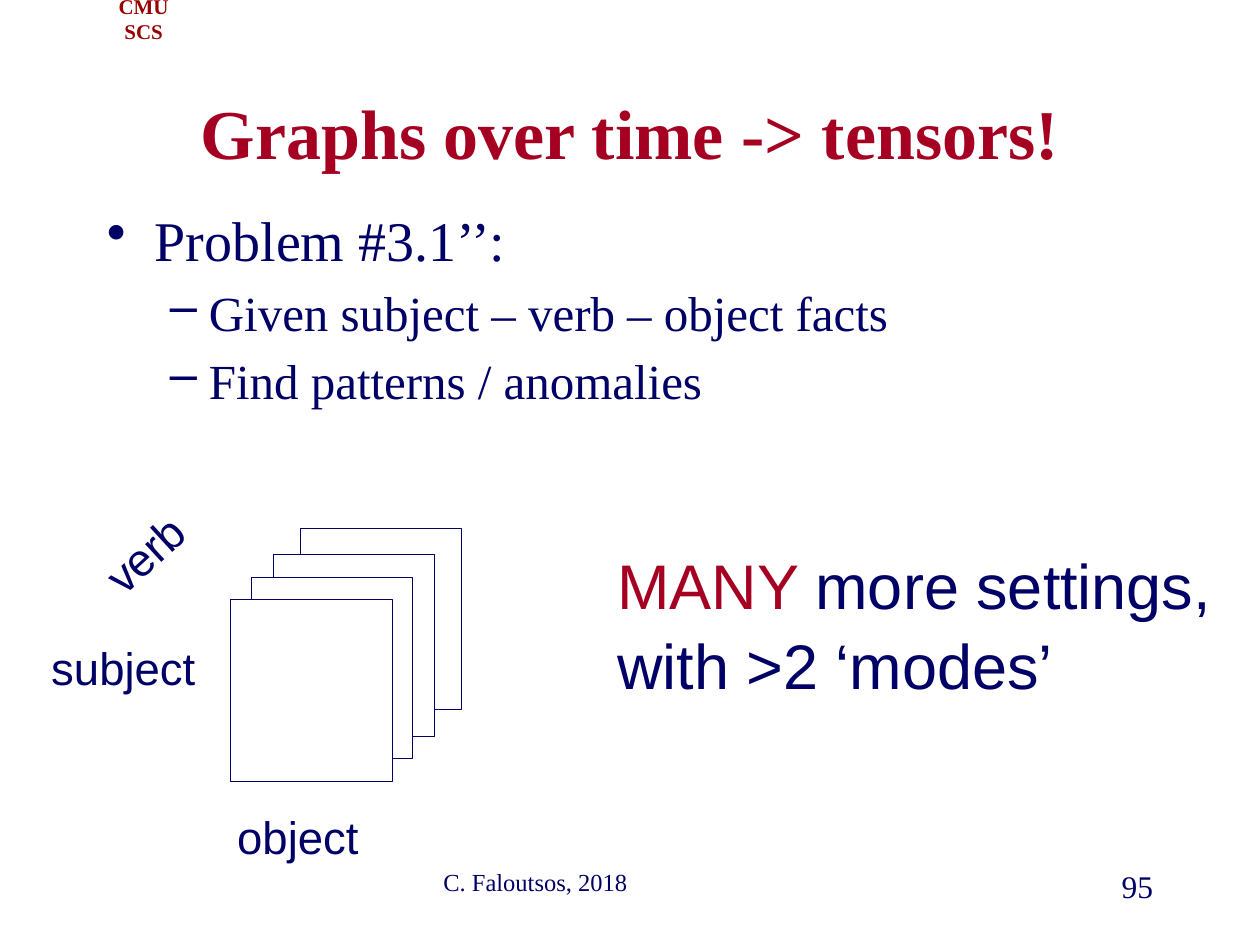
from lxml.etree import SubElement
from pptx import Presentation
from pptx.dml.color import RGBColor
from pptx.enum.shapes import MSO_SHAPE as Shape
from pptx.enum.text import MSO_ANCHOR as Anchor, MSO_AUTO_SIZE as AutoSize, PP_ALIGN as Align
from pptx.oxml.ns import qn
from pptx.util import Inches, Pt

COLORS = {"navy": "000066", "crimson": "A50021", "red": "990000", "white": "FFFFFF"}
SERIF, SANS = "Times New Roman", "Arial"


def color(name):
    return RGBColor.from_string(COLORS[name])


def style(font, name, size, tone="navy", bold=False):
    font.name, font.size, font.bold = name, Pt(size), bold
    font.color.rgb = color(tone)


def add_text(page, box, text, name, size, align=Align.LEFT, wrap=True, tone="navy", bold=False):
    label = page.shapes.add_textbox(*map(Inches, box))
    frame = label.text_frame
    frame.word_wrap = wrap
    frame.auto_size = AutoSize.NONE if wrap else AutoSize.SHAPE_TO_FIT_TEXT
    para = frame.paragraphs[0]
    para.text, para.alignment = text, align
    style(para.font, name, size, tone, bold)
    return label


def add_header(page, box):
    header = add_text(page, box, "CMU SCS", SERIF, 12, Align.CENTER, False, "red", True)
    header.text_frame.vertical_anchor = Anchor.MIDDLE


def add_title(page, box):
    title = page.shapes.title
    title.left, title.top, title.width, title.height = map(Inches, box)
    title.text_frame.text = "Graphs over time -> tensors!"
    title.text_frame.vertical_anchor = Anchor.MIDDLE
    para = title.text_frame.paragraphs[0]
    para.alignment = Align.CENTER
    style(para.font, SERIF, 40, "crimson", True)


def add_bullets(page, box):
    frame = page.shapes.add_textbox(*map(Inches, box)).text_frame
    frame.word_wrap = True
    levels = [("•", 0.38, 0.38, 32), ("–", 0.81, 0.31, 28)]
    items = [
        (0, "Problem #3.1’’:"),
        (1, "Given subject – verb – object facts"),
        (1, "Find patterns / anomalies"),
    ]
    for index, (level, text) in enumerate(items):
        mark, margin, hanging, size = levels[level]
        para = frame.add_paragraph() if index else frame.paragraphs[0]
        para.text, para.level = text, level
        if index:
            para.space_before = Pt(0.2 * size)
        props = para._p.get_or_add_pPr()
        props.set("marL", str(Inches(margin)))
        props.set("indent", str(-Inches(hanging)))
        SubElement(props, qn("a:buChar"), char=mark)
        style(para.font, SERIF, size)


def add_tensor(page, box):
    left, top, width, height = box
    for dx, dy in [(2.08, 0.08), (1.87, 0.29), (1.69, 0.47), (1.53, 0.65)]:
        place = map(Inches, (left + dx, top + dy, 1.28, 1.44))
        sheet = page.shapes.add_shape(Shape.RECTANGLE, *place)
        sheet.shadow.inherit = False
        sheet.fill.solid()
        sheet.fill.fore_color.rgb = color("white")
        sheet.line.color.rgb = color("navy")
        sheet.line.width = Pt(0.25)
    modes = [
        ("object", 1.48, 2.24, 1.17, 0),
        ("subject", 0, 0.9, 1.36, 0),
        ("verb", 0.37, 0, 0.93, 317.5),
    ]
    for text, dx, dy, label_width, angle in modes:
        place = (left + dx, top + dy, label_width, 0.54)
        label = add_text(page, place, text, SANS, 26, Align.CENTER, False)
        label.text_frame.paragraphs[0].line_spacing = 1.05
        label.rotation = angle


def add_remark(page, box):
    frame = add_text(page, box, "MANY ", SANS, 36, Align.JUSTIFY, False).text_frame
    first, second = frame.paragraphs[0], frame.add_paragraph()
    first.runs[0].font.color.rgb = color("crimson")
    first.add_run().text = "more settings,"
    second.text, second.alignment = "with >2 ‘modes’", Align.JUSTIFY
    style(second.font, SANS, 36)
    for para in frame.paragraphs:
        para.line_spacing = 1.05


def add_footer(page, box):
    left, top, width, height = box
    add_text(page, (left, top, 3.17, height), "C. Faloutsos, 2018", SERIF, 14)
    number_width = 2.08
    place = (left + width - number_width, top, number_width, height)
    add_text(page, place, "95", SERIF, 18, Align.RIGHT)


def main():
    deck = Presentation()
    deck.slide_width, deck.slide_height = Inches(10), Inches(7.5)
    page = deck.slides.add_slide(deck.slide_layouts[5])
    add_header(page, (0.67, 0, 0.94, 0.3))
    add_title(page, (0.75, 0.67, 8.5, 0.75))
    add_bullets(page, (0.75, 1.58, 8.5, 2.2))
    add_tensor(page, (0.3, 4.11, 3.36, 2.78))
    add_remark(page, (4.8, 4.26, 4.98, 1.31))
    add_footer(page, (3.42, 6.83, 5.83, 0.5))
    deck.save("out.pptx")


if __name__ == "__main__":
    main()
